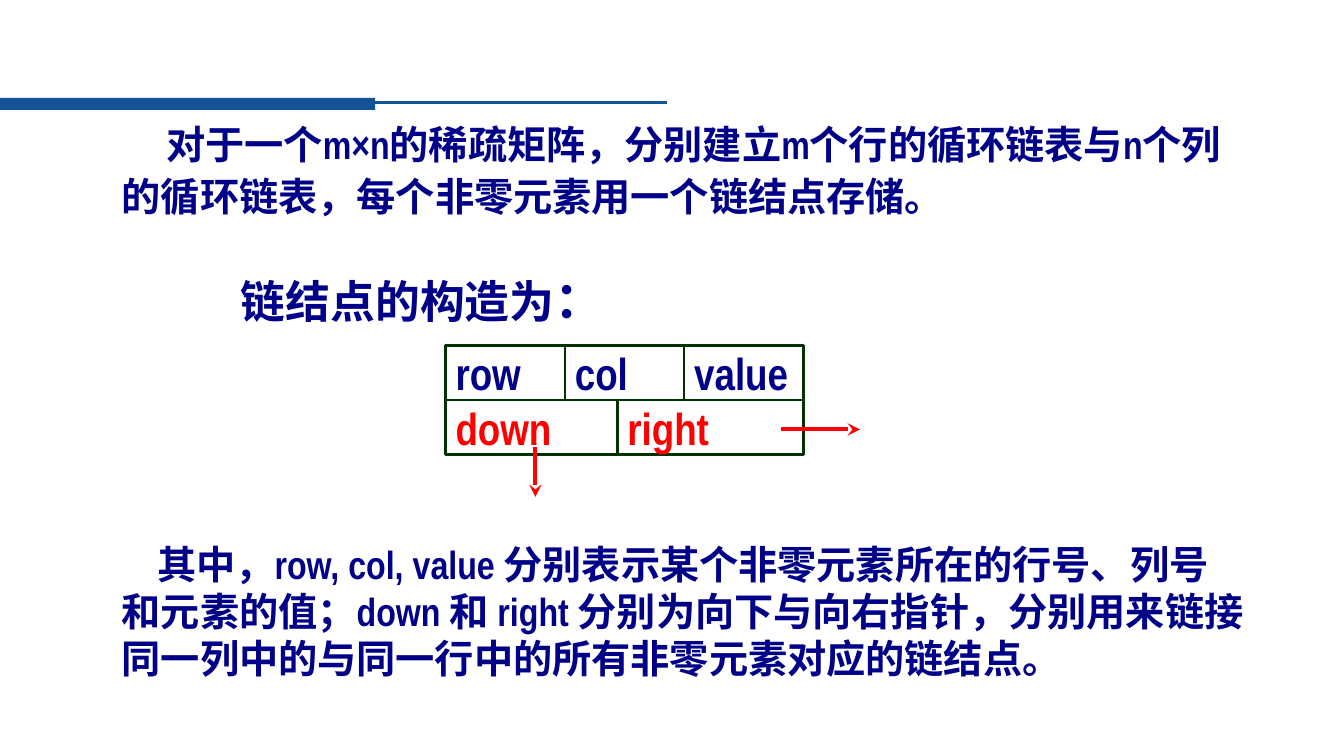
from lxml.etree import SubElement
from pptx import Presentation
from pptx.dml.color import RGBColor
from pptx.enum.shapes import MSO_CONNECTOR as Connector, MSO_SHAPE as Shape
from pptx.enum.text import MSO_ANCHOR as Anchor, PP_ALIGN as Align
from pptx.oxml.ns import qn
from pptx.util import Inches, Pt

LATIN, CHINESE = "Arial Narrow", "Noto Sans CJK SC"
BLUE, NAVY, RED, GREEN = "145396", "000088", "FF0000", "003300"

# left, top, width, height, first-line indent, line pitch in points, runs
PASSAGES = [
    (1.11, 1.09, 11.22, 1.11, 0.44, 37.5, [
        ("对于一个", 28), ("m×n", 28), ("的稀疏矩阵，分别建立", 28), ("m", 28),
        ("个行的循环链表与", 28), ("n", 28),
        ("个列的循环链表，每个非零元素用一个链结点存储。", 28)]),
    (1.11, 5.31, 11.33, 1.51, 0.35, 33.5, [
        ("其中，", 28), ("row, col, value ", 28),
        ("分别表示某个非零元素所在的行号、列号和元素的值；", 28), ("down ", 28),
        ("和 ", 28), ("right ", 28),
        ("分别为向下与向右指针，分别用来链接同一列中的与同一行中的所有非零元素对应的链结点。", 28)]),
    (2.29, 2.6, 3.86, 0.71, 0, 44, [("链结点的构造为", 32), ("：", 36)]),
]

NODE_LEFT, NODE_TOP, NODE_WIDTH, ROW_HEIGHT = 4.42, 3.43, 3.55, 0.54
# colour, then each field with its share of the node's width
NODE_ROWS = [
    (NAVY, [("row", 1 / 3), ("col", 1 / 3), ("value", 1 / 3)]),
    (RED, [("down", 0.48), ("right", 0.52)]),
]
POINTERS = [(7.75, 4.26, 8.53, 4.26), (5.31, 4.43, 5.31, 4.93)]


def rgb(color):
    return RGBColor.from_string(color)


def add_run(paragraph, text, size, color):
    run = paragraph.add_run()
    run.text = text
    font = run.font
    font.size, font.bold, font.color.rgb = Pt(size), True, rgb(color)
    font.name = LATIN if text.isascii() or "×" in text else CHINESE
    SubElement(font._element, qn("a:ea")).set("typeface", CHINESE)


def add_passage(slide, left, top, width, height, indent, pitch, runs):
    box = slide.shapes.add_textbox(*map(Inches, (left, top, width, height)))
    box.text_frame.word_wrap = True
    paragraph = box.text_frame.paragraphs[0]
    paragraph.line_spacing = Pt(pitch)
    paragraph._p.get_or_add_pPr().set("indent", str(Inches(indent)))
    for text, size in runs:
        add_run(paragraph, text, size, NAVY)


def add_box(slide, left, top, width, height):
    box = slide.shapes.add_shape(Shape.RECTANGLE, *map(Inches, (left, top, width, height)))
    box.shadow.inherit = False
    return box


def add_field(slide, left, top, width, text, color):
    field = add_box(slide, left, top, width, ROW_HEIGHT)
    field.fill.background()
    field.line.color.rgb, field.line.width = rgb(GREEN), Pt(1.75)
    frame = field.text_frame
    frame.word_wrap, frame.vertical_anchor = False, Anchor.MIDDLE
    paragraph = frame.paragraphs[0]
    paragraph.alignment = Align.LEFT
    add_run(paragraph, text, 32, color)


def add_line(slide, ends, color, width, arrow=False):
    connector = slide.shapes.add_connector(Connector.STRAIGHT, *map(Inches, ends))
    connector.line.color.rgb, connector.line.width = rgb(color), Pt(width)
    if arrow:
        SubElement(connector.line._get_or_add_ln(), qn("a:tailEnd")).set("type", "stealth")
    SubElement(connector._element.spPr, qn("a:effectLst"))


def main():
    presentation = Presentation()
    presentation.slide_width, presentation.slide_height = Inches(13.33), Inches(7.5)
    slide = presentation.slides.add_slide(presentation.slide_layouts[6])

    bar = add_box(slide, 0, 0.97, 3.72, 0.12)
    bar.fill.solid()
    bar.fill.fore_color.rgb = rgb(BLUE)
    bar.line.fill.background()
    add_line(slide, (3.68, 1.02, 6.62, 1.02), BLUE, 2.25)

    for passage in PASSAGES:
        add_passage(slide, *passage)

    for row, (color, fields) in enumerate(NODE_ROWS):
        left = NODE_LEFT
        for text, share in fields:
            width = share * NODE_WIDTH
            add_field(slide, left, NODE_TOP + row * ROW_HEIGHT, width, text, color)
            left += width

    for ends in POINTERS:
        add_line(slide, ends, RED, 3, arrow=True)

    presentation.save("out.pptx")


if __name__ == "__main__":
    main()
